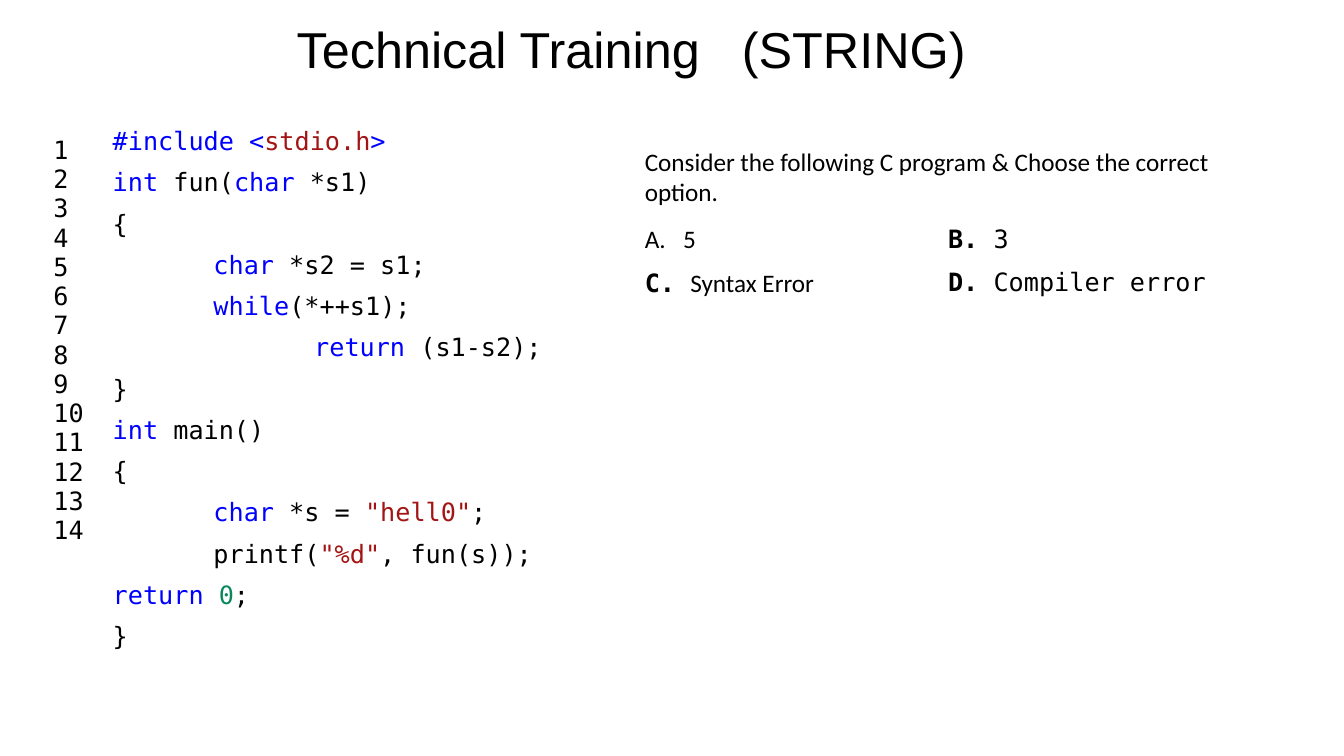
from dataclasses import dataclass

from lxml.etree import SubElement
from pptx import Presentation
from pptx.dml.color import RGBColor
from pptx.enum.text import MSO_ANCHOR, MSO_AUTO_SIZE, PP_ALIGN
from pptx.oxml.ns import qn
from pptx.slide import Slide
from pptx.table import Table, _Cell
from pptx.text.text import _Paragraph, _Run
from pptx.util import Inches, Pt


@dataclass(frozen=True)
class Theme:
    black: str = "000000"
    white: str = "FFFFFF"
    keyword: str = "0000FF"
    string: str = "A31515"
    number: str = "09885A"
    heading: str = "Arial"
    body: str = "Calibri"
    mono: str = "DejaVu Sans Mono"
    title_size: int = 36
    text_size: int = 18


THEME = Theme()
NO_STYLE_NO_GRID = "{2D5ABB26-0587-4C30-8999-92F81FD0307C}"


@dataclass(frozen=True)
class Span:
    text: str
    color: str = THEME.black
    font: str = THEME.mono
    bold: bool = False
    size: int = THEME.text_size


@dataclass(frozen=True)
class Option:
    row: int
    column: int
    spans: tuple[Span, ...]


def keyword(text: str) -> Span:
    return Span(text, THEME.keyword)


def string(text: str) -> Span:
    return Span(text, THEME.string)


CODE_LINES = (
    (keyword("#include <"), string("stdio.h"), keyword(">")),
    (keyword("int"), Span(" fun("), keyword("char"), Span(" *s1)")),
    (Span("{"),),
    (keyword("\tchar"), Span(" *s2 = s1;")),
    (keyword("\twhile"), Span("(*++s1);")),
    (keyword("\t\treturn"), Span(" (s1-s2);")),
    (Span("}"),),
    (keyword("int"), Span(" main()")),
    (Span("{"),),
    (keyword("\tchar"), Span(" *s = "), string('"hell0"'), Span(";")),
    (Span("\tprintf("), string('"%d"'), Span(", fun(s));")),
    (keyword("return "), Span("0", THEME.number), Span(";")),
    (Span("}"),),
)
LINE_NUMBER_COUNT = 14

QUESTION = Span(
    "Consider the following C program & Choose the correct option.", font=THEME.body
)
OPTIONS = (
    Option(1, 0, (Span("5", font=THEME.body),)),
    Option(1, 1, (Span("B.", bold=True), Span(" 3"))),
    Option(2, 0, (Span("C. ", bold=True), Span("Syntax Error", font=THEME.body))),
    Option(2, 1, (Span("D.", bold=True), Span(" Compiler error"))),
)


def add_span(para: _Paragraph, span: Span) -> _Run:
    run = para.add_run()
    run.text = span.text
    run.font.name = span.font
    run.font.size = Pt(span.size)
    run.font.bold = span.bold
    run.font.color.rgb = RGBColor.from_string(span.color)
    return run


def add_title(slide: Slide) -> None:
    title = slide.shapes.title
    title.left, title.top = Inches(2.29), Inches(0.13)
    title.width, title.height = Inches(7.95), Inches(0.7)
    frame = title.text_frame
    frame.word_wrap = True
    frame.auto_size = MSO_AUTO_SIZE.NONE
    frame.vertical_anchor = MSO_ANCHOR.TOP
    para = frame.paragraphs[0]
    para.alignment = PP_ALIGN.CENTER
    for text in ("Technical Training", " ", "(STRING)"):
        run = add_span(para, Span(text, font=THEME.heading, size=THEME.title_size))
        if text == " ":
            # The gap is three spaces wide: letter spacing in hundredths of a point.
            run.font._element.set("spc", "2000")


def add_plain_table(
    slide: Slide, left: float, top: float, widths: list[float], heights: list[float]
) -> Table:
    """Add a table without style, borders or fill."""
    frame = slide.shapes.add_table(
        len(heights), len(widths), Inches(left), Inches(top),
        Inches(sum(widths)), Inches(sum(heights)),
    )
    table = frame.table
    table.first_row = table.horz_banding = False
    table._tbl.tblPr.find(qn("a:tableStyleId")).text = NO_STYLE_NO_GRID
    for column, width in zip(table.columns, widths):
        column.width = Inches(width)
    for row, height in zip(table.rows, heights):
        row.height = Inches(height)
    for cell in table.iter_cells():
        cell.fill.background()
    return table


def add_line_numbers(slide: Slide) -> None:
    cell = add_plain_table(slide, 0.43, 1.23, [0.59], [4.3]).cell(0, 0)
    cell.vertical_anchor = MSO_ANCHOR.MIDDLE
    frame = cell.text_frame
    for number in range(1, LINE_NUMBER_COUNT + 1):
        para = frame.paragraphs[0] if number == 1 else frame.add_paragraph()
        add_span(para, Span(str(number)))


def add_code(slide: Slide) -> None:
    box = slide.shapes.add_textbox(
        Inches(1.02), Inches(1.23), Inches(5.41), Inches(5.58)
    )
    frame = box.text_frame
    frame.word_wrap = True
    for index, spans in enumerate(CODE_LINES):
        para = frame.add_paragraph() if index else frame.paragraphs[0]
        para.line_spacing = 0.9
        para.space_before = Pt(10 if index else 0)
        tabs = SubElement(para._p.get_or_add_pPr(), qn("a:tabLst"))
        for stop in (1, 2):
            SubElement(tabs, qn("a:tab"), pos=str(Inches(stop)), algn="l")
        for span in spans:
            add_span(para, span)


def number_with_letter(cell: _Cell) -> None:
    properties = cell.text_frame.paragraphs[0]._p.get_or_add_pPr()
    properties.set("marL", str(Inches(0.38)))
    properties.set("indent", str(Inches(-0.38)))
    SubElement(properties, qn("a:buAutoNum"), type="alphaUcPeriod")


def add_question(slide: Slide) -> None:
    table = add_plain_table(slide, 6.3, 1.41, [3.01, 3.01], [0.77, 0.43, 0.43])
    heading = table.cell(0, 0)
    heading.merge(table.cell(0, 1))
    add_span(heading.text_frame.paragraphs[0], QUESTION)

    first_option = table.cell(1, 0)
    first_option.fill.solid()
    first_option.fill.fore_color.rgb = RGBColor.from_string(THEME.white)
    number_with_letter(first_option)
    for option in OPTIONS:
        para = table.cell(option.row, option.column).text_frame.paragraphs[0]
        for span in option.spans:
            add_span(para, span)


def main() -> None:
    deck = Presentation()
    deck.slide_width, deck.slide_height = Inches(13.34), Inches(7.5)
    slide = deck.slides.add_slide(deck.slide_layouts.get_by_name("Title Only"))
    add_line_numbers(slide)
    add_code(slide)
    add_question(slide)
    add_title(slide)
    deck.save("out.pptx")


if __name__ == "__main__":
    main()
